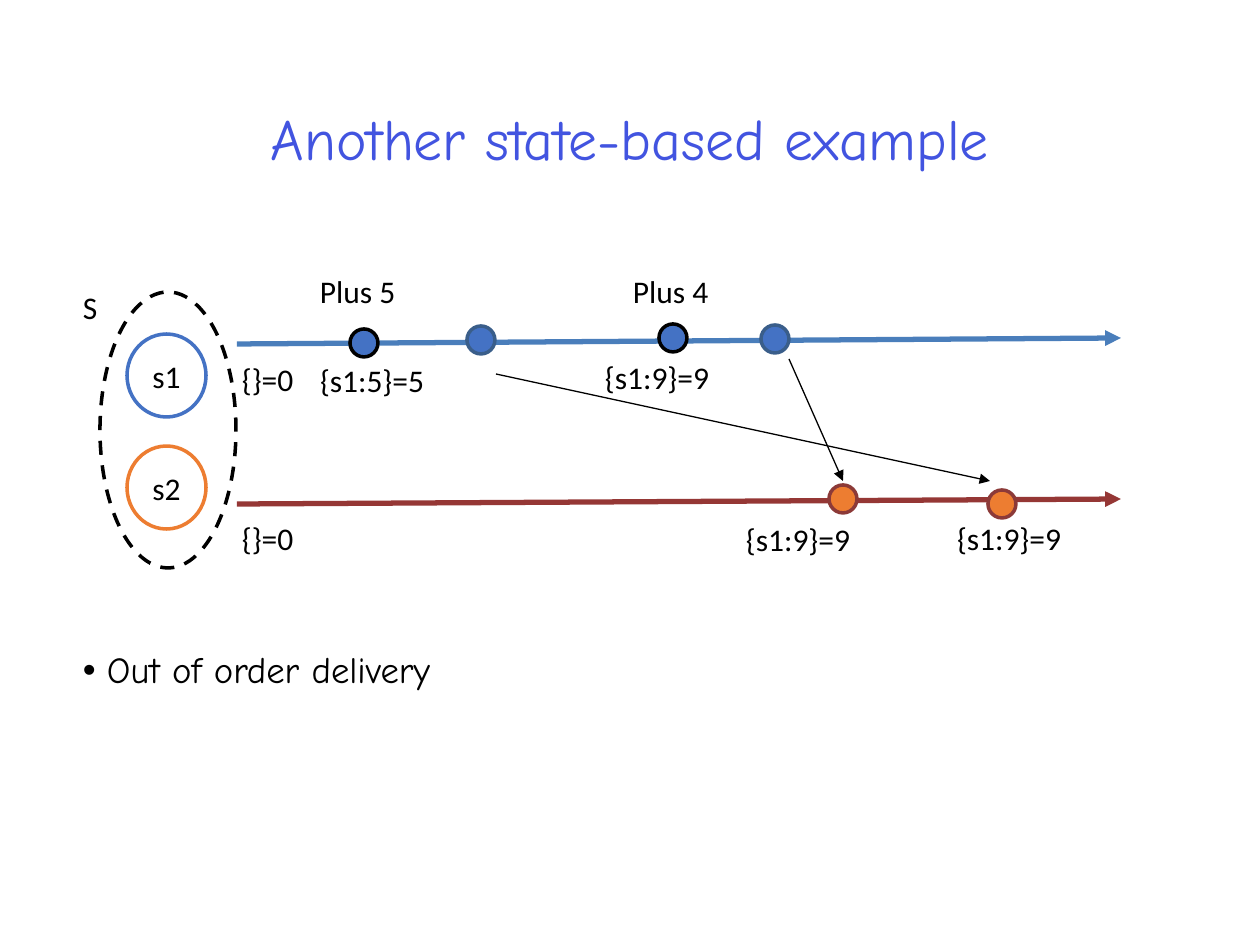
"""Build a slide showing out-of-order delivery in a state-based replication example."""
from lxml import etree
from pptx import Presentation
from pptx.dml.color import RGBColor
from pptx.enum.dml import MSO_LINE
from pptx.enum.shapes import MSO_CONNECTOR, MSO_SHAPE
from pptx.enum.text import MSO_ANCHOR, PP_ALIGN
from pptx.oxml.ns import qn
from pptx.util import Emu, Pt

OVAL = MSO_SHAPE.OVAL
STRAIGHT = MSO_CONNECTOR.STRAIGHT
DASH = MSO_LINE.DASH
TOP, MIDDLE = MSO_ANCHOR.TOP, MSO_ANCHOR.MIDDLE
LEFT, CENTER = PP_ALIGN.LEFT, PP_ALIGN.CENTER

BLACK = RGBColor(0x00, 0x00, 0x00)
WHITE = RGBColor(0xFF, 0xFF, 0xFF)
TITLE_BLUE = RGBColor(0x42, 0x54, 0xE0)
BLUE = RGBColor(0x44, 0x72, 0xC4)
DARK_BLUE = RGBColor(0x3A, 0x5E, 0x8A)
LINE_BLUE = RGBColor(0x4A, 0x7E, 0xBB)
ORANGE = RGBColor(0xED, 0x7D, 0x31)
DARK_RED = RGBColor(0x8C, 0x3A, 0x38)
LINE_RED = RGBColor(0x95, 0x37, 0x35)

HEADING_FONT, LABEL_FONT = "Comic Neue", "Calibri"
EMU_PER_PX = 914400 / 126
INSET, LABEL_HEIGHT, DOT_SIZE = 6, 52, 28

TITLE = ("Another state-based example", (87, 50, 1086, 183))
BULLET = ("Out of order delivery", (77, 646, 1134, 88))
GROUP_BOX = (100, 292, 136, 276)
REPLICA_LEFT, REPLICA_WIDTH, REPLICA_HEIGHT, REPLICA_LABEL_WIDTH = 127, 79, 83, 55
REPLICAS = [("s1", 334, BLUE), ("s2", 446, ORANGE)]
TIMELINES = [
    ((237, 344), (1121, 338), LINE_BLUE),
    ((237, 504), (1121, 499), LINE_RED),
]
MESSAGES = [((496, 374), (990, 481)), ((789, 359), (843, 481))]
EVENTS = [
    (350, 329, BLUE, BLACK),
    (467, 326, BLUE, DARK_BLUE),
    (659, 324, BLUE, BLACK),
    (761, 325, BLUE, DARK_BLUE),
    (988, 490, ORANGE, DARK_RED),
    (829, 485, ORANGE, DARK_RED),
]
LABELS = [
    ("S", 77, 282, 34),
    ("{}=0", 236, 354, 73),
    ("{}=0", 236, 513, 73),
    ("Plus 5", 314, 266, 100),
    ("{s1:5}=5", 314, 355, 134),
    ("{s1:9}=9", 951, 513, 134),
    ("Plus 4", 627, 266, 100),
    ("{s1:9}=9", 599, 352, 134),
    ("{s1:9}=9", 740, 514, 134),
]


def px(value):
    return Emu(round(value * EMU_PER_PX))


def place(shape, box):
    shape.left, shape.top, shape.width, shape.height = map(px, box)


def write(shape, text, font, size, color=BLACK, align=LEFT, anchor=TOP, wrap=True):
    frame = shape.text_frame
    frame.text = text
    frame.word_wrap = wrap
    frame.vertical_anchor = anchor
    frame.margin_left = frame.margin_right = px(INSET)
    frame.margin_top = frame.margin_bottom = px(INSET)
    paragraph = frame.paragraphs[0]
    paragraph.alignment = align
    run_font = paragraph.runs[0].font
    run_font.name, run_font.size = font, Pt(size)
    run_font.color.rgb = color
    return paragraph


def add_text(slide, text, box, font=LABEL_FONT, size=18, **style):
    return write(slide.shapes.add_textbox(*map(px, box)), text, font, size, **style)


def add_oval(slide, box, fill, outline):
    shape = slide.shapes.add_shape(OVAL, *map(px, box))
    shape.shadow.inherit = False
    shape.fill.solid()
    shape.fill.fore_color.rgb = fill
    shape.line.color.rgb = outline
    shape.line.width = Pt(2)
    return shape


def add_arrow(slide, start, end, color, width):
    arrow = slide.shapes.add_connector(STRAIGHT, *map(px, start + end))
    arrow.line.color.rgb = color
    arrow.line.width = Pt(width)
    etree.SubElement(arrow.line._get_or_add_ln(), qn("a:tailEnd"), type="triangle")
    etree.SubElement(arrow._element.spPr, qn("a:effectLst"))


def add_bullet(paragraph, indent):
    properties = paragraph._p.get_or_add_pPr()
    properties.set("marL", str(px(indent)))
    properties.set("indent", str(-px(indent)))
    etree.SubElement(properties, qn("a:buFont"), typeface="Arial")
    etree.SubElement(properties, qn("a:buChar"), char="•")


def main():
    presentation = Presentation()
    presentation.slide_width, presentation.slide_height = px(1260), px(945)
    slide = presentation.slides.add_slide(presentation.slide_layouts[5])

    text, box = TITLE
    place(slide.shapes.title, box)
    heading = write(slide.shapes.title, text, HEADING_FONT, 33, TITLE_BLUE, CENTER, MIDDLE)
    heading.line_spacing = 0.9

    text, box = BULLET
    paragraph = add_text(slide, text, box, HEADING_FONT, 21)
    paragraph.line_spacing = 0.9
    paragraph.space_before = Pt(7)
    add_bullet(paragraph, 24)

    add_oval(slide, GROUP_BOX, WHITE, BLACK).line.dash_style = DASH
    for name, top, color in REPLICAS:
        add_oval(slide, (REPLICA_LEFT, top, REPLICA_WIDTH, REPLICA_HEIGHT), WHITE, color)
        label_left = REPLICA_LEFT + (REPLICA_WIDTH - REPLICA_LABEL_WIDTH) / 2
        label_top = top + (REPLICA_HEIGHT - LABEL_HEIGHT) / 2
        add_text(slide, name, (label_left, label_top, REPLICA_LABEL_WIDTH, LABEL_HEIGHT),
                 align=CENTER, anchor=MIDDLE)

    for start, end, color in TIMELINES:
        add_arrow(slide, start, end, color, 3)
    for start, end in MESSAGES:
        add_arrow(slide, start, end, BLACK, 0.75)
    for left, top, fill, outline in EVENTS:
        add_oval(slide, (left, top, DOT_SIZE, DOT_SIZE), fill, outline)
    for text, left, top, width in LABELS:
        add_text(slide, text, (left, top, width, LABEL_HEIGHT), wrap=False)

    presentation.save("out.pptx")


if __name__ == "__main__":
    main()
